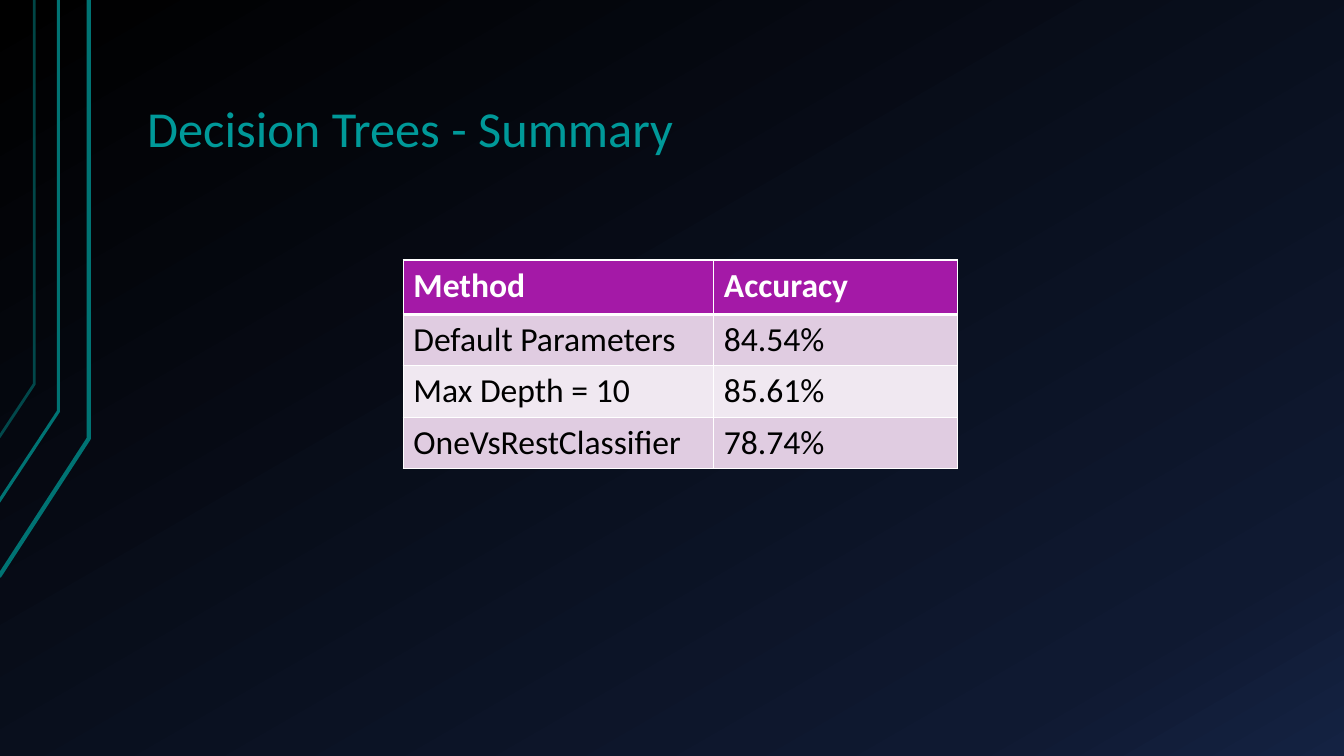
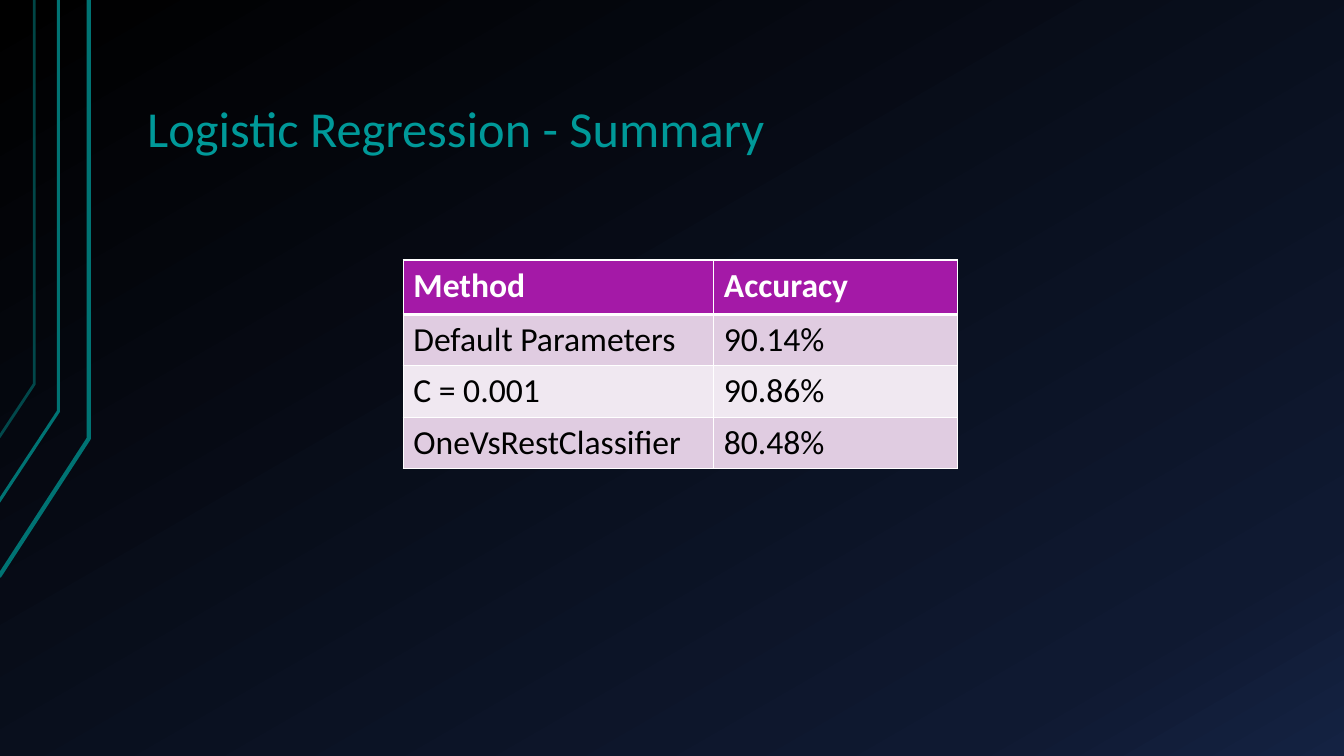
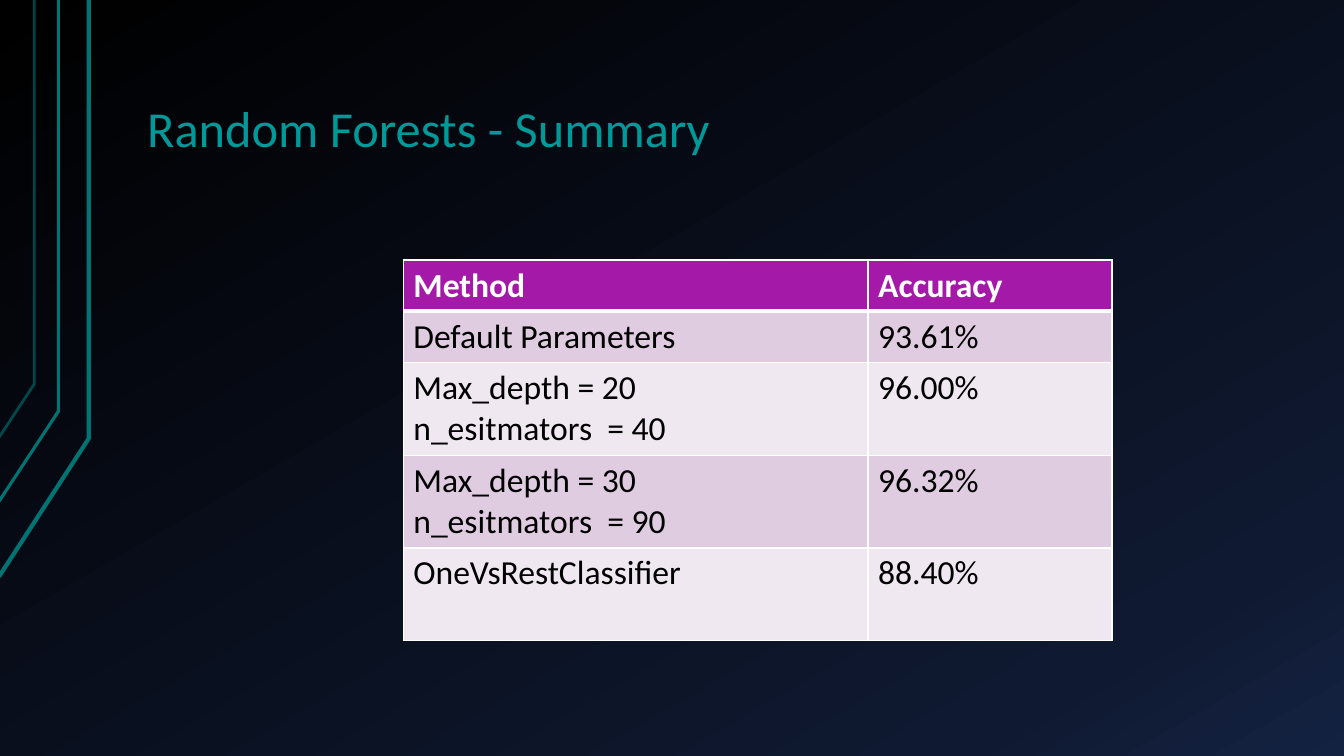
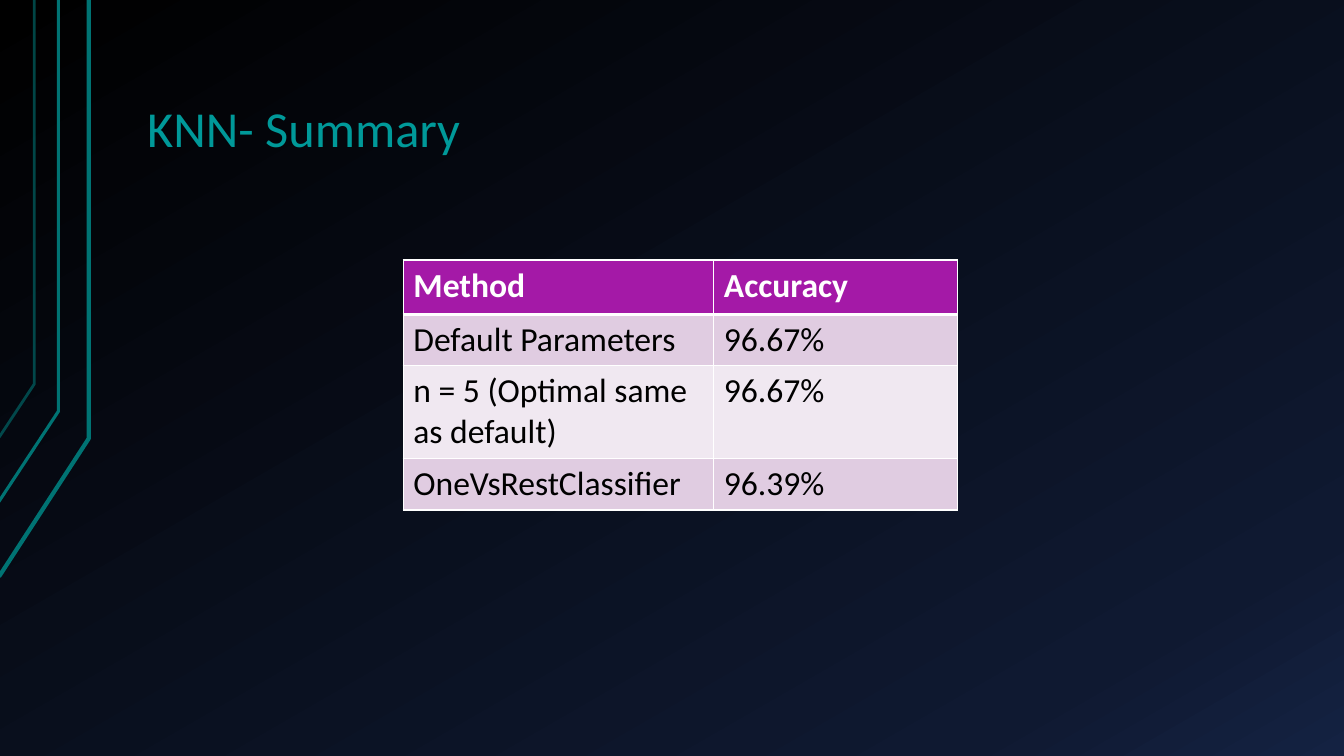
from copy import deepcopy

from lxml import etree
from pptx import Presentation
from pptx.dml.color import RGBColor
from pptx.enum.text import MSO_ANCHOR, PP_ALIGN
from pptx.oxml.ns import qn
from pptx.util import Inches, Pt

LEFT = PP_ALIGN.LEFT
BOTTOM = MSO_ANCHOR.BOTTOM

FONT = "Calibri"
COLORS = {
    "title": "009999",
    "stripe": "007373",
    "header": "A419A7",
    "band_dark": "E0CCE1",
    "band_light": "F0E8F1",
    "white": "FFFFFF",
    "black": "000000",
}
GRADIENT = [(0, "000000"), (0.85, "0F1931"), (1, "142242")]
GRADIENT_ANGLE = 300

STRIPES = [
    ([(-0.01, 5.72), (0.88, 4.35), (0.88, 0)], 3, 100),
    ([(-0.02, 4.99), (0.58, 4.08), (0.58, 0)], 2.25, 100),
    ([(-0.01, 4.34), (0.34, 3.81), (0.34, 0)], 2, 60),
]

TITLE_BOX = (1.33, 0.3, 11.33, 1.34)
TABLE_ORIGIN = (4, 2.58)
ACCURACY_WIDTH = 2.42
LINE_HEIGHT = 0.41
ROW_PADDING = 0.1

SUMMARIES = [
    {
        "title": "Decision Trees - Summary",
        "method_width": 3.08,
        "header_height": 0.54,
        "rows": [
            ("Default Parameters", "84.54%", 1),
            ("Max Depth = 10", "85.61%", 1),
            ("OneVsRestClassifier", "78.74%", 1),
        ],
    },
    {
        "title": "Logistic Regression - Summary",
        "method_width": 3.08,
        "header_height": 0.54,
        "rows": [
            ("Default Parameters", "90.14%", 1),
            ("C = 0.001", "90.86%", 1),
            ("OneVsRestClassifier", "80.48%", 1),
        ],
    },
    {
        "title": "Random Forests - Summary",
        "method_width": 4.61,
        "header_height": 0.5,
        "rows": [
            ("Default Parameters", "93.61%", 1),
            ("Max_depth = 20\nn_esitmators  = 40", "96.00%", 2),
            ("Max_depth = 30\nn_esitmators  = 90", "96.32%", 2),
            ("OneVsRestClassifier", "88.40%", 2),
        ],
    },
    {
        "title": "KNN- Summary",
        "method_width": 3.08,
        "header_height": 0.54,
        "rows": [
            ("Default Parameters", "96.67%", 1),
            ("n = 5 (Optimal same as default)", "96.67%", 2),
            ("OneVsRestClassifier", "96.39%", 1),
        ],
    },
]


def color(name):
    """Return the named palette colour."""
    return RGBColor.from_string(COLORS[name])


def set_font(paragraph, size, color_name, bold=False):
    """Give a whole paragraph its font."""
    paragraph.font.name = FONT
    paragraph.font.size = Pt(size)
    paragraph.font.bold = bold
    paragraph.font.color.rgb = color(color_name)


def paint_background(master):
    """Give the master its three-stop gradient."""
    fill = master.background.fill
    fill.gradient()
    fill.gradient_angle = GRADIENT_ANGLE
    stop_list = next(master.element.iter(qn("a:gsLst")))
    stop_list.append(deepcopy(stop_list[-1]))
    for stop, (position, value) in zip(fill.gradient_stops, GRADIENT):
        stop.position = position
        stop.color.rgb = RGBColor.from_string(value)


def add_stripes(master, slide):
    """Draw the bent stripes on a slide and move them to the master."""
    for index, (points, width, opacity) in enumerate(STRIPES):
        start, *others = [(Inches(x), Inches(y)) for x, y in points]
        builder = slide.shapes.build_freeform(*start)
        builder.add_line_segments(others, close=False)
        shape = builder.convert_to_shape()
        shape.shadow.inherit = False
        shape.fill.background()
        shape.line.color.rgb = color("stripe")
        shape.line.width = Pt(width)
        if opacity < 100:
            line_color = next(shape.line.fill._xPr.iter(qn("a:ln"))).find(".//" + qn("a:srgbClr"))
            etree.SubElement(line_color, qn("a:alpha"), val=str(opacity * 1000))
        shape.element.nvSpPr.cNvPr.set("id", str(100 + index))
        master.element.cSld.spTree.append(shape.element)


def add_title(slide, text, box):
    """Place and format the slide title in its box."""
    title = slide.shapes.title
    title.left, title.top, title.width, title.height = map(Inches, box)
    frame = title.text_frame
    frame.text = text
    frame.word_wrap = True
    frame.vertical_anchor = BOTTOM
    frame.margin_left = frame.margin_right = Inches(0.13)
    frame.margin_top = frame.margin_bottom = Inches(0.07)
    paragraph = frame.paragraphs[0]
    paragraph.alignment = LEFT
    paragraph.line_spacing = 0.9
    set_font(paragraph, 36, "title")


def add_borders(cell, widths):
    """Draw white borders on the given sides of a cell."""
    properties = cell._tc.get_or_add_tcPr()
    for side, width in widths.items():
        line = etree.SubElement(properties, qn(f"a:ln{side}"), w=str(Pt(width)))
        fill = etree.SubElement(line, qn("a:solidFill"))
        etree.SubElement(fill, qn("a:srgbClr"), val=COLORS["white"])


def format_cell(cell, text, row_index):
    """Write a cell and style it by its row."""
    is_header = row_index == 0
    band = "band_dark" if row_index % 2 else "band_light"
    cell.text_frame.text = text
    for paragraph in cell.text_frame.paragraphs:
        set_font(paragraph, 24, "white" if is_header else "black", is_header)
    top = 3 if row_index == 1 else 1
    add_borders(cell, {"L": 1, "R": 1, "T": top, "B": 3 if is_header else 1})
    cell.fill.solid()
    cell.fill.fore_color.rgb = color("header" if is_header else band)


def add_accuracy_table(slide, summary, origin):
    """Add the method and accuracy table with its top left at origin."""
    rows = [("Method", "Accuracy")] + [row[:2] for row in summary["rows"]]
    heights = [summary["header_height"]]
    heights += [ROW_PADDING + LINE_HEIGHT * row[2] for row in summary["rows"]]
    widths = [summary["method_width"], ACCURACY_WIDTH]
    box = map(Inches, (*origin, sum(widths), sum(heights)))
    table = slide.shapes.add_table(len(rows), len(widths), *box).table
    table.horz_banding = False
    for column, width in zip(table.columns, widths):
        column.width = Inches(width)
    for row_index, (row, height) in enumerate(zip(rows, heights)):
        table.rows[row_index].height = Inches(height)
        for column_index, text in enumerate(row):
            format_cell(table.cell(row_index, column_index), text, row_index)


def main():
    """Build the summary slides and save them."""
    presentation = Presentation()
    presentation.slide_width = Inches(13.33)
    presentation.slide_height = Inches(7.5)
    master = presentation.slide_master
    title_only = presentation.slide_layouts.get_by_name("Title Only")
    paint_background(master)
    for summary in SUMMARIES:
        slide = presentation.slides.add_slide(title_only)
        add_title(slide, summary["title"], TITLE_BOX)
        add_accuracy_table(slide, summary, TABLE_ORIGIN)
    add_stripes(master, presentation.slides[0])
    presentation.save("out.pptx")


if __name__ == "__main__":
    main()
